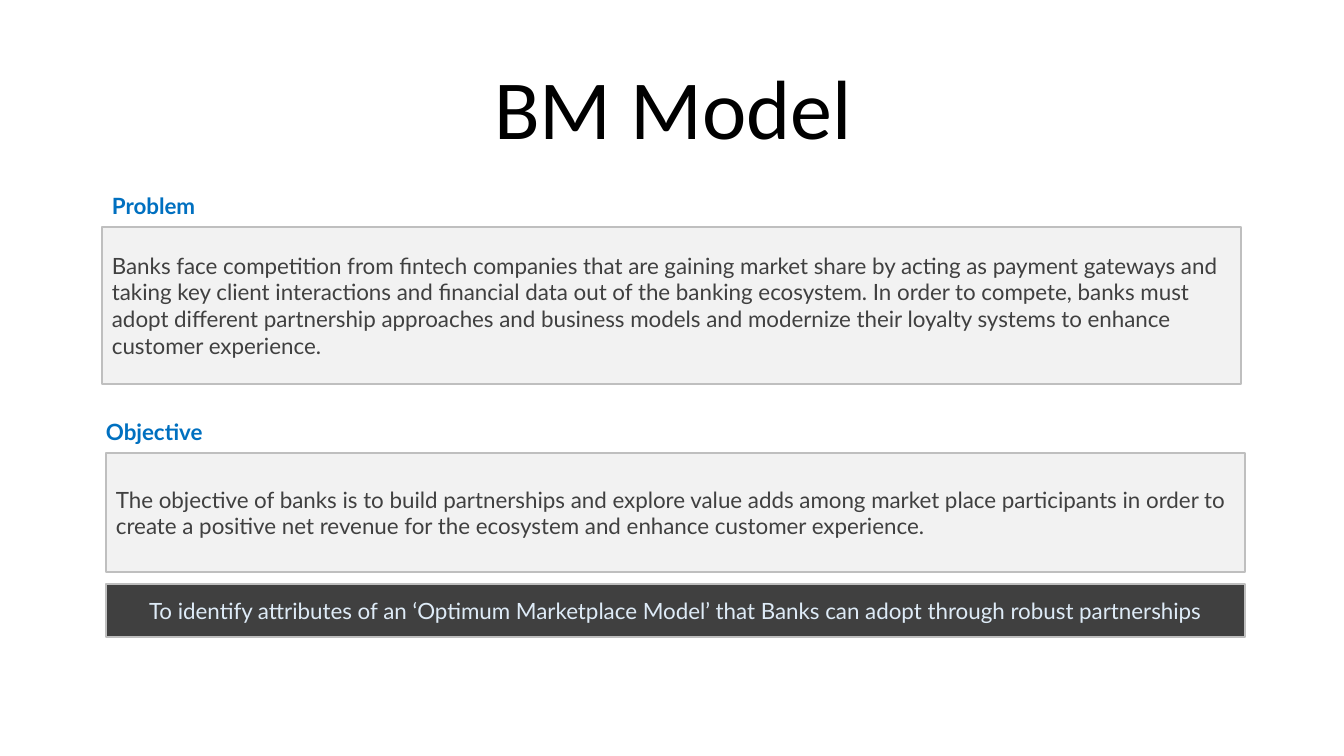
from pptx import Presentation, util as u
from pptx.dml import color
from pptx.enum import shapes, text

PIXEL = 914400 / 100.8
BODY = {"name": "Lato", "size": u.Pt(16)}
WIDTH = 1139


def px(*lengths):
    """Turn picture pixels into EMU."""
    return [u.Emu(round(length * PIXEL)) for length in lengths]


def paint(target, value):
    """Set a colour from a hex string."""
    target.rgb = color.RGBColor.from_string(value)


def write(shape, words, ink, font, frame_format, para_format):
    """Put one formatted paragraph into a shape."""
    frame = shape.text_frame
    para = frame.paragraphs[0]
    span = para.add_run()
    span.text = words
    paint(span.font.color, ink)
    for item, values in ((frame, {"word_wrap": True, **frame_format}),
                         (para, para_format), (span.font, font)):
        for name, value in values.items():
            setattr(item, name, value)


def add_title(page, box, words):
    """Add the large centred title."""
    write(page.shapes.add_textbox(*px(*box)), words, "000000",
          {"name": "Calibri", "size": u.Pt(60)},
          {"vertical_anchor": text.MSO_ANCHOR.BOTTOM},
          {"alignment": text.PP_ALIGN.CENTER, "line_spacing": 0.9})


def add_panel(page, box, words, fill="F2F2F2", ink="404040", align=text.PP_ALIGN.LEFT):
    """Add a filled, outlined rectangle with text."""
    panel = page.shapes.add_shape(shapes.MSO_SHAPE.RECTANGLE, *px(*box))
    panel.shadow.inherit = False
    panel.fill.solid()
    paint(panel.fill.fore_color, fill)
    paint(panel.line.color, "BFBFBF")
    panel.line.width = u.Pt(1)
    write(panel, words, ink, BODY,
          {"vertical_anchor": text.MSO_ANCHOR.MIDDLE}, {"alignment": align})


def add_section(page, box, heading, indent, words):
    """Add a blue heading above a panel that fills the box."""
    left, top, width, height = box
    add_panel(page, box, words)
    label = page.shapes.add_textbox(*px(left + indent, top - 40, 380, 37))
    write(label, heading, "0070C0", {**BODY, "bold": True},
          {"auto_size": text.MSO_AUTO_SIZE.SHAPE_TO_FIT_TEXT}, {})


deck = Presentation()
deck.slide_width, deck.slide_height = px(1344, 756)
page = deck.slides.add_slide(deck.slide_layouts[6])
add_title(page, (169, 31, 1008, 132), "BM Model")
add_section(page, (102, 227, WIDTH, 157), "Problem", 0,
            "Banks face competition from fintech companies that are gaining market share "
            "by acting as payment gateways and taking key client interactions and financial "
            "data out of the banking ecosystem. In order to compete, banks must adopt "
            "different partnership approaches and business models and modernize their "
            "loyalty systems to enhance customer experience.")
add_section(page, (106, 453, WIDTH, 119), "Objective", -10,
            "The objective of banks is to build partnerships and explore value adds among "
            "market place participants in order to create a positive net revenue for the "
            "ecosystem and enhance customer experience.")
add_panel(page, (106, 584, WIDTH, 53),
          "To identify attributes of an ‘Optimum Marketplace Model’ that Banks can adopt "
          "through robust partnerships", "404040", "DEEBF7", text.PP_ALIGN.CENTER)
deck.save("out.pptx")
